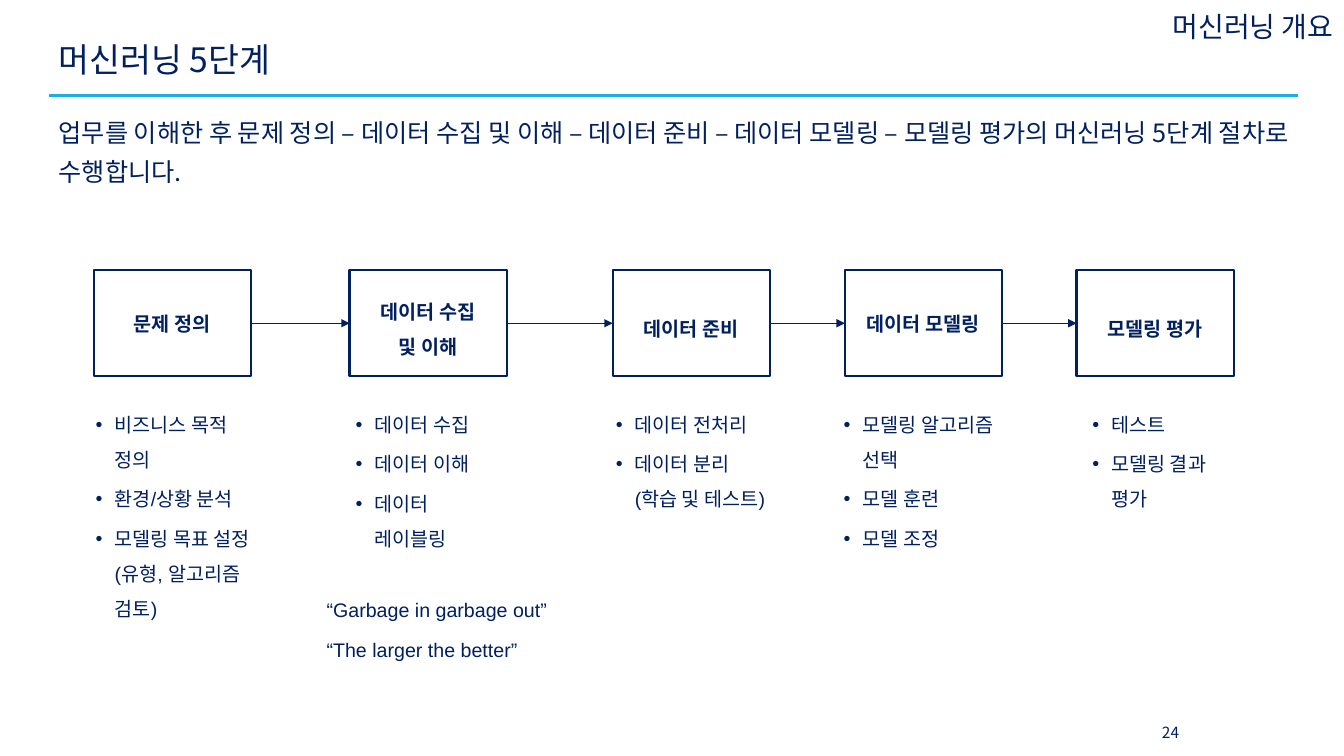
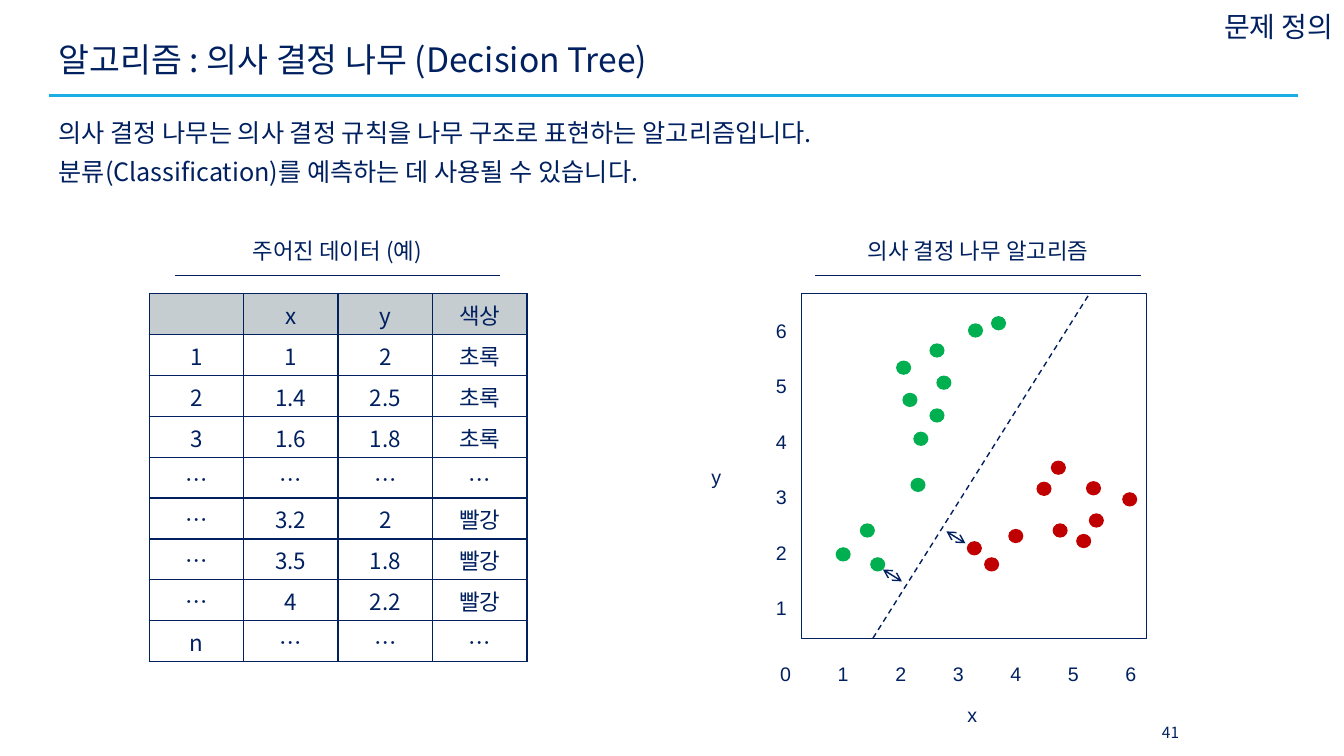
from dataclasses import dataclass
from itertools import pairwise

from lxml.etree import SubElement
from pptx import Presentation
from pptx.dml.color import RGBColor
from pptx.enum.dml import MSO_LINE_DASH_STYLE as Dash
from pptx.enum.shapes import MSO_CONNECTOR as Connector, MSO_SHAPE as Shape
from pptx.enum.text import MSO_ANCHOR as Anchor, PP_ALIGN as Align
from pptx.oxml.ns import qn
from pptx.util import Cm, Pt

NAVY, ACCENT, WHITE, HEADER = "002060", "1CADE4", "FFFFFF", "C6CDD1"
GREEN, RED = "00B050", "C00000"
KOREAN, LATIN = "Noto Sans CJK KR", "Arial"
BULLET_INDENT = Cm(0.48)


@dataclass(frozen=True)
class Box:
    """Position and size in centimetres."""
    left: float
    top: float
    width: float
    height: float

    @property
    def lengths(self) -> tuple:
        return Cm(self.left), Cm(self.top), Cm(self.width), Cm(self.height)


@dataclass(frozen=True)
class Step:
    left: float
    label: list[str]
    label_spacing: float
    tasks_left: float
    tasks_width: float
    tasks: list[str]


@dataclass(frozen=True)
class Panel:
    heading: str
    left: float


STEPS = [
    Step(2.36, ["문제 정의"], 1, 2.16, 4.57,
         ["비즈니스 목적 정의", "환경/상황 분석", "모델링 목표 설정(유형, 알고리즘 검토)"]),
    Step(8.81, ["데이터 수집", "및 이해"], 1.5, 8.71, 4.14,
         ["데이터 수집", "데이터 이해", "데이터 레이블링"]),
    Step(15.44, ["데이터 준비"], 1.5, 15.27, 4.32,
         ["데이터 전처리", "데이터 분리 (학습 및 테스트)"]),
    Step(21.29, ["데이터 모델링"], 1, 21.01, 4.7,
         ["모델링 알고리즘 선택", "모델 훈련", "모델 조정"]),
    Step(27.13, ["모델링 평가"], 1.5, 27.28, 4.32,
         ["테스트", "모델링 결과 평가"]),
]

PANELS = [Panel("주어진 데이터 (예)", 4.4), Panel("의사 결정 나무 알고리즘", 20.55)]

TABLE_ROWS = [
    ["", "x", "y", "색상"],
    ["1", "1", "2", "초록"],
    ["2", "1.4", "2.5", "초록"],
    ["3", "1.6", "1.8", "초록"],
    ["…", "…", "…", "…"],
    ["…", "3.2", "2", "빨강"],
    ["…", "3.5", "1.8", "빨강"],
    ["…", "4", "2.2", "빨강"],
    ["n", "…", "…", "…"],
]

POINTS = {
    GREEN: [(1, 2), (2.35, 4.08), (3.3, 6.03), (2.3, 3.25), (1.42, 2.43), (2.16, 4.78),
            (2.05, 5.36), (2.63, 5.67), (3.7, 6.16), (2.75, 5.09), (2.63, 4.5), (1.6, 1.82)],
    RED: [(3.28, 2.11), (3.58, 1.82), (4, 2.33), (4.77, 2.43), (5.35, 3.19), (5.4, 2.61),
          (5.98, 2.99), (5.18, 2.24), (4.49, 3.18), (4.74, 3.56)],
}


def color(value: str) -> RGBColor:
    return RGBColor.from_string(value)


def write(frame, lines: list[str], *, size: float, font: str = KOREAN, bold: bool = False,
          align: Align = Align.LEFT, spacing: float = 1, before: float = 0,
          bullet: bool = False) -> None:
    """Fill a text frame with one paragraph per line."""
    for index, line in enumerate(lines):
        paragraph = frame.paragraphs[0] if index == 0 else frame.add_paragraph()
        paragraph.alignment = align
        paragraph.line_spacing = spacing
        if index:
            paragraph.space_before = Pt(before)
        if bullet:
            properties = paragraph._p.get_or_add_pPr()
            properties.set("marL", str(BULLET_INDENT))
            properties.set("indent", str(-BULLET_INDENT))
            SubElement(properties, qn("a:buFont"), typeface=LATIN)
            SubElement(properties, qn("a:buChar"), char="•")
        run = paragraph.add_run()
        run.text = line
        run.font.name = font
        run.font.size = Pt(size)
        run.font.bold = bold
        run.font.color.rgb = color(NAVY)
        SubElement(run._r.get_or_add_rPr(), qn("a:ea"), typeface=KOREAN)


def add_text(slide, box: Box, lines: list[str], *, anchor: Anchor = Anchor.MIDDLE,
             inset_top: float = 0.13, **text_format) -> None:
    frame = slide.shapes.add_textbox(*box.lengths).text_frame
    frame.word_wrap = True
    frame.vertical_anchor = anchor
    frame.margin_top = Cm(inset_top)
    write(frame, lines, **text_format)


def add_small_text(slide, box: Box, lines: list[str], **text_format) -> None:
    add_text(slide, box, lines, anchor=Anchor.TOP, inset_top=0.3, size=14, font=LATIN,
             spacing=1.5, before=3, **text_format)


def add_shape(slide, kind: Shape, box: Box, *, fill: str | None = None,
              line_width: float = 0):
    shape = slide.shapes.add_shape(kind, *box.lengths)
    shape.shadow.inherit = False
    if fill:
        shape.fill.solid()
        shape.fill.fore_color.rgb = color(fill)
    else:
        shape.fill.background()
    if line_width:
        shape.line.color.rgb = color(NAVY)
        shape.line.width = Pt(line_width)
    else:
        shape.line.fill.background()
    return shape


def add_line(slide, start: tuple[float, float], end: tuple[float, float], *,
             stroke: str = NAVY, width: float = 1, dashed: bool = False,
             head: str = "", tail: str = ""):
    connector = slide.shapes.add_connector(
        Connector.STRAIGHT, *(Cm(value) for value in (*start, *end)))
    connector.line.color.rgb = color(stroke)
    connector.line.width = Pt(width)
    if dashed:
        connector.line.dash_style = Dash.DASH
    properties = connector._element.spPr
    outline = properties.find(qn("a:ln"))
    for tag, arrow in (("a:headEnd", head), ("a:tailEnd", tail)):
        if arrow:
            SubElement(outline, qn(tag), type=arrow)
    SubElement(properties, qn("a:effectLst"))
    return connector


def add_base_slide(presentation, *, section: str, title: str, summary: list[str], number: int):
    """Add a blank slide with the section, title, rule, summary and page number."""
    slide = presentation.slides.add_slide(presentation.slide_layouts[6])
    add_line(slide, (1.23, 2.4), (32.7, 2.4), stroke=ACCENT, width=2.25)
    add_text(slide, Box(1.23, 0.74, 31.5, 1.6), [title], size=24, spacing=0.9)
    add_text(slide, Box(1.23, 2.6, 31.5, 3.2), summary, anchor=Anchor.TOP, size=18, spacing=1.3)
    add_text(slide, Box(28.7, 17.93, 1.6, 1.02), [str(number)], size=11, align=Align.CENTER)
    add_text(slide, Box(23.52, 0.1, 10.34, 1.1), [section], size=20, align=Align.RIGHT)
    return slide


def add_steps(slide) -> None:
    boxes = []
    for step in STEPS:
        box = add_shape(slide, Shape.RECTANGLE, Box(step.left, 6.81, 3.96, 2.67),
                        fill=WHITE, line_width=1.5)
        box.text_frame.vertical_anchor = Anchor.MIDDLE
        write(box.text_frame, step.label, size=14, bold=True, align=Align.CENTER,
              spacing=step.label_spacing)
        add_small_text(slide, Box(step.tasks_left, 9.8, step.tasks_width, 5.9), step.tasks,
                       bullet=True)
        boxes.append(box)
    for previous, following in pairwise(boxes):
        arrow = add_line(slide, (0, 0), (1, 1), tail="triangle")
        arrow.begin_connect(previous, 3)
        arrow.end_connect(following, 1)


def add_cell_borders(cell) -> None:
    properties = cell._tc.get_or_add_tcPr()
    for index, side in enumerate(("a:lnL", "a:lnR", "a:lnT", "a:lnB")):
        border = SubElement(properties, qn(side), w=str(Pt(1)))
        SubElement(SubElement(border, qn("a:solidFill")), qn("a:srgbClr"), val=NAVY)
        properties.insert(index, border)


def add_data_table(slide) -> None:
    row_count, column_count = len(TABLE_ROWS), len(TABLE_ROWS[0])
    box = Box(3.76, 7.4, 2.38 * column_count, 1.03 * row_count)
    table = slide.shapes.add_table(row_count, column_count, *box.lengths).table
    table.first_row = table.horz_banding = False
    for row_index, row in enumerate(TABLE_ROWS):
        for column_index, text in enumerate(row):
            cell = table.cell(row_index, column_index)
            cell.vertical_anchor = Anchor.MIDDLE
            if row_index == 0:
                cell.fill.solid()
                cell.fill.fore_color.rgb = color(HEADER)
            else:
                cell.fill.background()
            add_cell_borders(cell)
            if text:
                write(cell.text_frame, [text], size=16, align=Align.CENTER)


def plot_x(value: float) -> float:
    return 19.8 + 1.45 * value


def plot_y(value: float) -> float:
    return 16.77 - 1.4 * value


def add_scatter(slide) -> None:
    label_size, dot_width, dot_height = 1.02, 0.38, 0.36
    add_shape(slide, Shape.RECTANGLE, Box(20.2, 7.4, 8.69, 8.69), line_width=1)
    for value in range(7):
        add_small_text(slide, Box(plot_x(value) - label_size / 2, 16.08, label_size, label_size),
                       [str(value)], align=Align.CENTER)
        if value:
            add_small_text(slide, Box(19.18, plot_y(value) - 0.94, label_size, label_size),
                           [str(value)], align=Align.CENTER)
    add_small_text(slide, Box(24.13, 17.12, 2.06, 1.22), ["x"])
    add_small_text(slide, Box(17.68, 11.13, 2.06, 1.22), ["y"])
    for fill, points in POINTS.items():
        for x, y in points:
            add_shape(slide, Shape.OVAL, Box(plot_x(x) - dot_width / 2, plot_y(y) - dot_height / 2,
                                             dot_width, dot_height), fill=fill)
    add_line(slide, (22, 16.08), (27.43, 7.44), dashed=True)
    for left, top in ((22.25, 14.35), (23.85, 13.39)):
        add_line(slide, (left, top), (left + 0.48, top + 0.3), head="arrow", tail="arrow")


def main() -> None:
    presentation = Presentation()
    presentation.slide_width, presentation.slide_height = Cm(33.87), Cm(19.05)

    steps_slide = add_base_slide(
        presentation, section="머신러닝 개요", title="머신러닝 5단계", number=24,
        summary=["업무를 이해한 후 문제 정의 – 데이터 수집 및 이해 – 데이터 준비 – 데이터 모델링 – "
                 "모델링 평가의 머신러닝 5단계 절차로 수행합니다."])
    add_steps(steps_slide)
    add_small_text(steps_slide, Box(7.98, 14.48, 6.45, 2.2),
                   ["“Garbage in garbage out”", "“The larger the better”"])

    tree_slide = add_base_slide(
        presentation, section="문제 정의", title="알고리즘 : 의사 결정 나무 (Decision Tree)", number=41,
        summary=["의사 결정 나무는 의사 결정 규칙을 나무 구조로 표현하는 알고리즘입니다.",
                 "분류(Classification)를 예측하는 데 사용될 수 있습니다."])
    for panel in PANELS:
        add_text(tree_slide, Box(panel.left, 5.77, 8.2, 1.1), [panel.heading],
                 size=16, align=Align.CENTER)
        add_line(tree_slide, (panel.left, 6.94), (panel.left + 8.2, 6.94))
    add_data_table(tree_slide)
    add_scatter(tree_slide)

    presentation.save("out.pptx")


if __name__ == "__main__":
    main()
